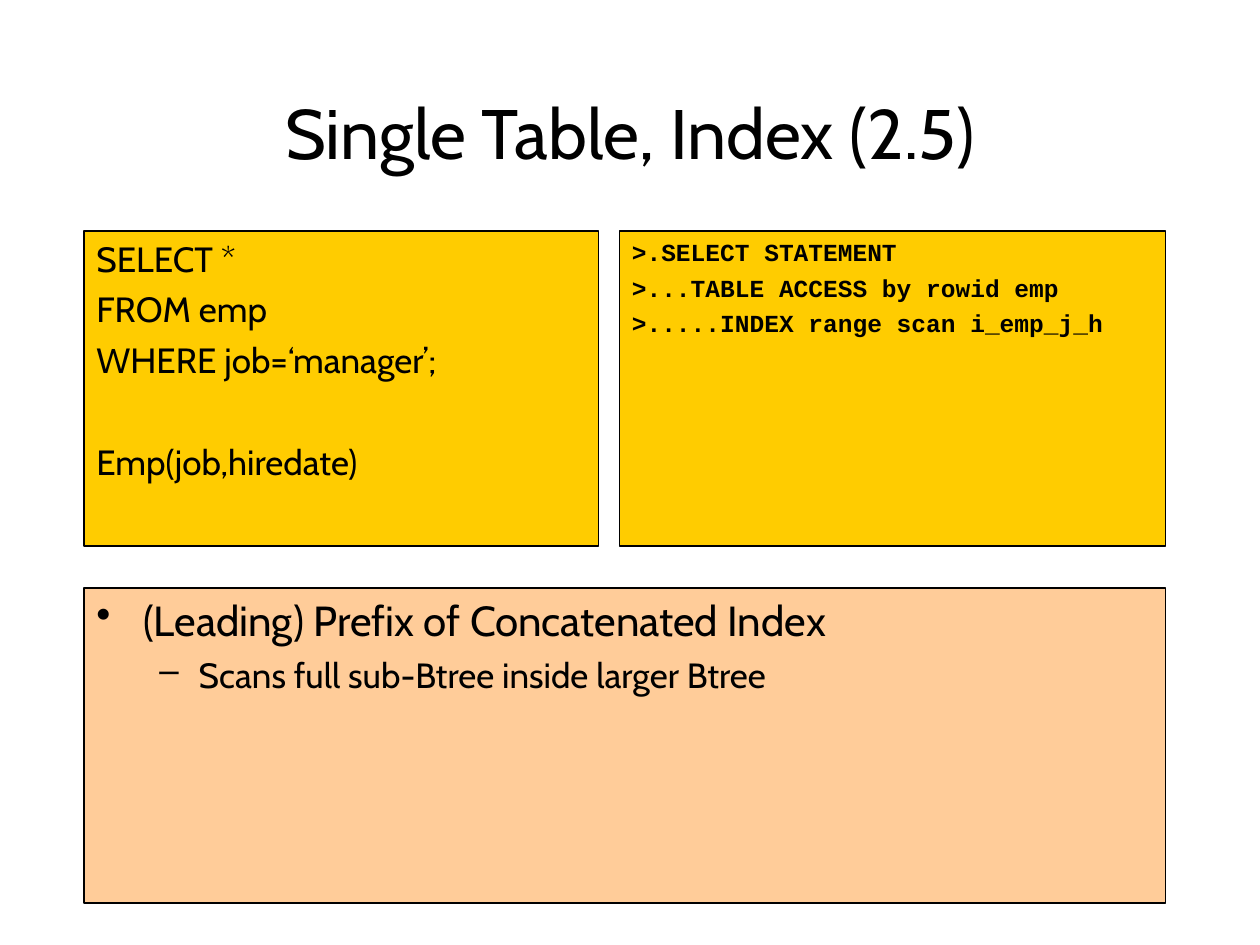
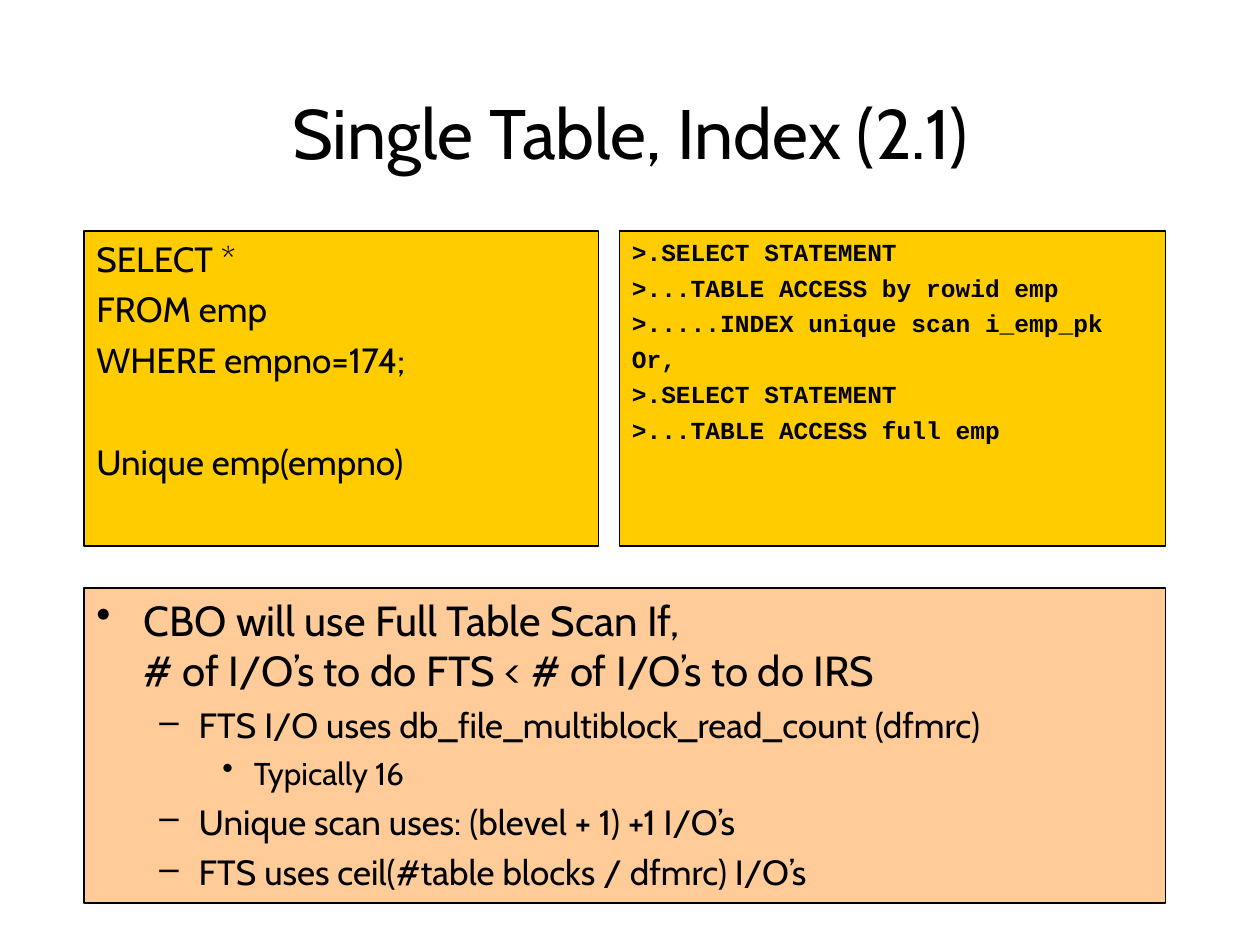
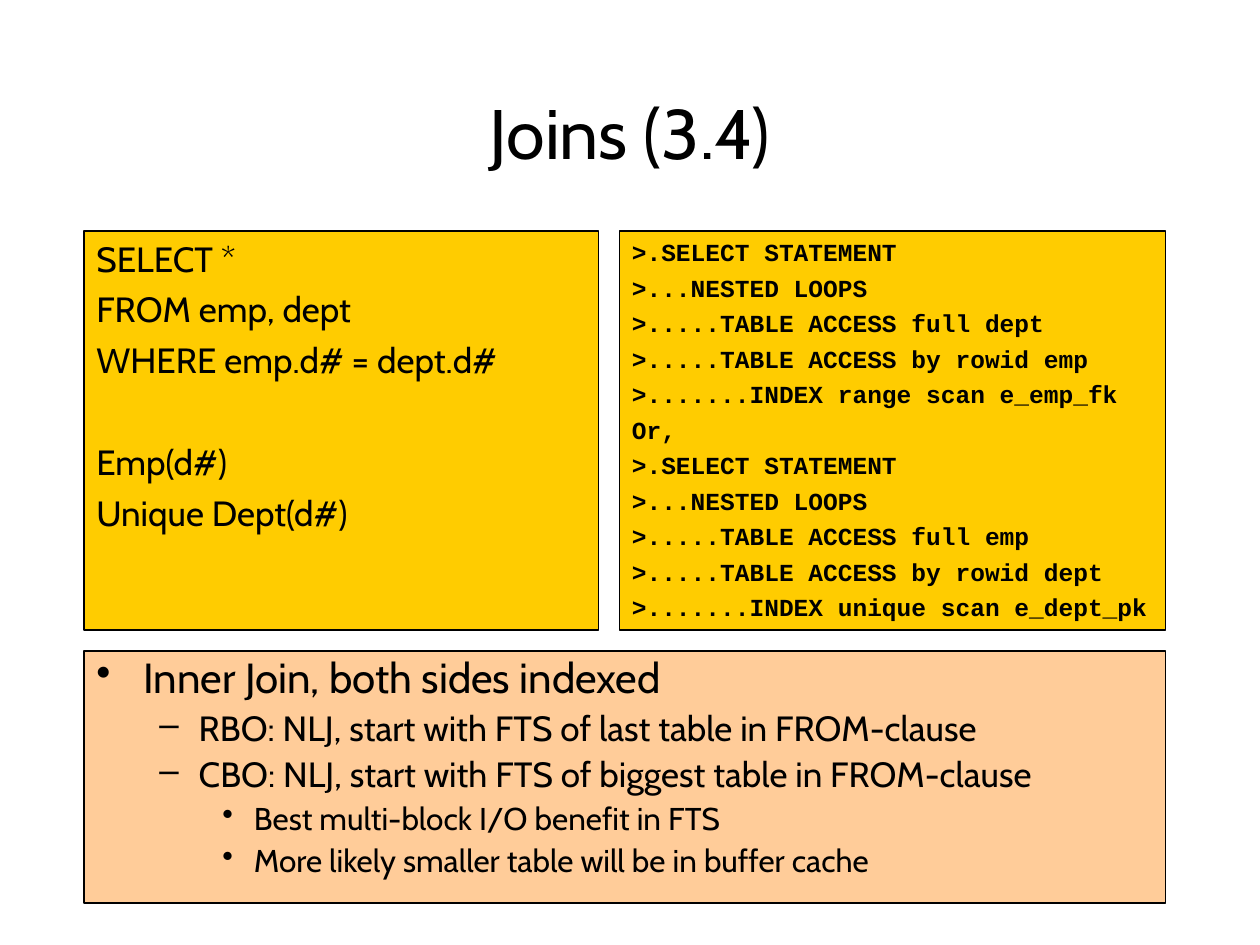
import pptx
import pptx.dml.color
import pptx.enum.shapes
import pptx.enum.text
import pptx.oxml.ns
import pptx.util
from lxml import etree

Pt = pptx.util.Pt
ALIGN = pptx.enum.text.PP_ALIGN
ANCHOR = pptx.enum.text.MSO_ANCHOR

# Shared colours and fonts
BLACK = pptx.dml.color.RGBColor(0x00, 0x00, 0x00)
GOLD = pptx.dml.color.RGBColor(0xFF, 0xCC, 0x00)
PEACH = pptx.dml.color.RGBColor(0xFF, 0xCC, 0x99)
BODY_FONT = "Cabin"
CODE_FONT = "Courier New"

# Shared places, in points
TITLE_BOX = (54, 48, 612, 54)
LEFT, RIGHT, BOTTOM = 48, 666, 516
PANEL_TOP = 132
QUERY_WIDTH, PLAN_LEFT = 294, 354
BLANK_LINE = 29.2

# Text styles: font values, space before, left margin, hanging indent, bullet
STYLES = {
    "title": {"font": {"name": BODY_FONT, "size": Pt(40)},
              "before": 0, "margin": 0, "hang": 0, "bullet": None},
    "query": {"font": {"name": BODY_FONT, "size": Pt(20)},
              "before": 5, "margin": 27, "hang": 27, "bullet": None},
    "index": {"font": {"name": BODY_FONT, "size": Pt(20)},
              "before": 5 + BLANK_LINE, "margin": 27, "hang": 27, "bullet": None},
    "plan": {"font": {"name": CODE_FONT, "size": Pt(14), "bold": True},
             "before": 3.5, "margin": 27, "hang": 27, "bullet": None},
    "point": {"font": {"name": BODY_FONT, "size": Pt(24)},
              "before": 6, "margin": 27, "hang": 27, "bullet": "•"},
    "detail": {"font": {"name": BODY_FONT, "size": Pt(20)},
               "before": 5, "margin": 58.5, "hang": 22.5, "bullet": "–"},
    "remark": {"font": {"name": BODY_FONT, "size": Pt(18)},
               "before": 4.5, "margin": 90, "hang": 18, "bullet": "•"},
}

SLIDES = [
    {
        "title": "Single Table, Index (2.5)",
        "query": ["SELECT *", "FROM emp", "WHERE job=‘manager’;"],
        "indexes": ["Emp(job,hiredate)"],
        "plan": [
            ">.SELECT STATEMENT",
            ">...TABLE ACCESS by rowid emp",
            ">.....INDEX range scan i_emp_j_h",
        ],
        "notes": [
            ("point", "(Leading) Prefix of Concatenated Index"),
            ("detail", "Scans full sub-Btree inside larger Btree"),
        ],
        "panel_height": 180, "gap": 24, "line_spacing": 1.0,
    },
    {
        "title": "Single Table, Index (2.1)",
        "query": ["SELECT *", "FROM emp", "WHERE empno=174;"],
        "indexes": ["Unique emp(empno)"],
        "plan": [
            ">.SELECT STATEMENT",
            ">...TABLE ACCESS by rowid emp",
            ">.....INDEX unique scan i_emp_pk",
            "Or,",
            ">.SELECT STATEMENT",
            ">...TABLE ACCESS full emp",
        ],
        "notes": [
            ("point", "CBO will use Full Table Scan If,\n"
                      "# of I/O’s to do FTS < # of I/O’s to do IRS"),
            ("detail", "FTS I/O uses db_file_multiblock_read_count (dfmrc)"),
            ("remark", "Typically 16"),
            ("detail", "Unique scan uses: (blevel + 1) +1 I/O’s"),
            ("detail", "FTS uses ceil(#table blocks / dfmrc) I/O’s"),
        ],
        "panel_height": 180, "gap": 24, "line_spacing": 1.0,
    },
    {
        "title": "Joins (3.4)",
        "query": ["SELECT *", "FROM emp, dept", "WHERE emp.d# = dept.d#"],
        "indexes": ["Emp(d#)", "Unique Dept(d#)"],
        "plan": [
            ">.SELECT STATEMENT",
            ">...NESTED LOOPS",
            ">.....TABLE ACCESS full dept",
            ">.....TABLE ACCESS by rowid emp",
            ">.......INDEX range scan e_emp_fk",
            "Or,",
            ">.SELECT STATEMENT",
            ">...NESTED LOOPS",
            ">.....TABLE ACCESS full emp",
            ">.....TABLE ACCESS by rowid dept",
            ">.......INDEX unique scan e_dept_pk",
        ],
        "notes": [
            ("point", "Inner Join, both sides indexed"),
            ("detail", "RBO: NLJ, start with FTS of last table in FROM-clause"),
            ("detail", "CBO: NLJ, start with FTS of biggest table in FROM-clause"),
            ("remark", "Best multi-block I/O benefit in FTS"),
            ("remark", "More likely smaller table will be in buffer cache"),
        ],
        "panel_height": 228, "gap": 12, "line_spacing": 0.9,
    },
]


def set_values(target, values):
    for name, value in values.items():
        setattr(target, name, value)


def write_lines(frame, lines, alignment=ALIGN.LEFT, line_spacing=1.0):
    """Fill a text frame with (style name, text) pairs."""
    for number, (style_name, text) in enumerate(lines):
        style = STYLES[style_name]
        para = frame.add_paragraph() if number else frame.paragraphs[0]
        para.text = text
        set_values(para, {
            "alignment": alignment,
            "line_spacing": line_spacing,
            "space_before": Pt(style["before"] if number else 0),
        })
        # Hanging indent and bullet
        properties = para._p.get_or_add_pPr()
        properties.set("marL", str(Pt(style["margin"])))
        properties.set("indent", str(-Pt(style["hang"])))
        if style["bullet"]:
            bullet = etree.SubElement(properties, pptx.oxml.ns.qn("a:buChar"))
            bullet.set("char", style["bullet"])
        for span in para.runs:
            set_values(span.font, style["font"])
            span.font.color.rgb = BLACK


def add_title(page, box, text):
    title = page.shapes.title
    set_values(title, dict(zip(("left", "top", "width", "height"), map(Pt, box))))
    set_values(title.text_frame, {
        "auto_size": pptx.enum.text.MSO_AUTO_SIZE.NONE,
        "vertical_anchor": ANCHOR.MIDDLE,
        "word_wrap": True,
    })
    write_lines(title.text_frame, [("title", text)], ALIGN.CENTER)


def add_panel(page, box, fill, lines, line_spacing=1.0):
    panel = page.shapes.add_shape(
        pptx.enum.shapes.MSO_SHAPE.RECTANGLE, *map(Pt, box))
    panel.shadow.inherit = False
    panel.fill.solid()
    panel.fill.fore_color.rgb = fill
    panel.line.color.rgb = BLACK
    panel.line.width = Pt(0.75)
    set_values(panel.text_frame, {"vertical_anchor": ANCHOR.TOP, "word_wrap": True})
    write_lines(panel.text_frame, lines, line_spacing=line_spacing)


def add_query_slide(deck, content):
    page = deck.slides.add_slide(deck.slide_layouts[5])
    add_title(page, TITLE_BOX, content["title"])

    # Notes below the two panels
    height = content["panel_height"]
    notes_top = PANEL_TOP + height + content["gap"]
    add_panel(page, (LEFT, notes_top, RIGHT - LEFT, BOTTOM - notes_top), PEACH,
              content["notes"], content["line_spacing"])

    # Execution plan on the right
    add_panel(page, (PLAN_LEFT, PANEL_TOP, RIGHT - PLAN_LEFT, height), GOLD,
              [("plan", line) for line in content["plan"]])

    # Query on the left, with its indexes set apart
    first_index, *other_indexes = content["indexes"]
    query = [("query", line) for line in content["query"]]
    query.append(("index", first_index))
    query += [("query", line) for line in other_indexes]
    add_panel(page, (LEFT, PANEL_TOP, QUERY_WIDTH, height), GOLD, query)


def main():
    deck = pptx.Presentation()
    deck.slide_width, deck.slide_height = Pt(720), Pt(540)
    for content in SLIDES:
        add_query_slide(deck, content)
    deck.save("out.pptx")


if __name__ == "__main__":
    main()
